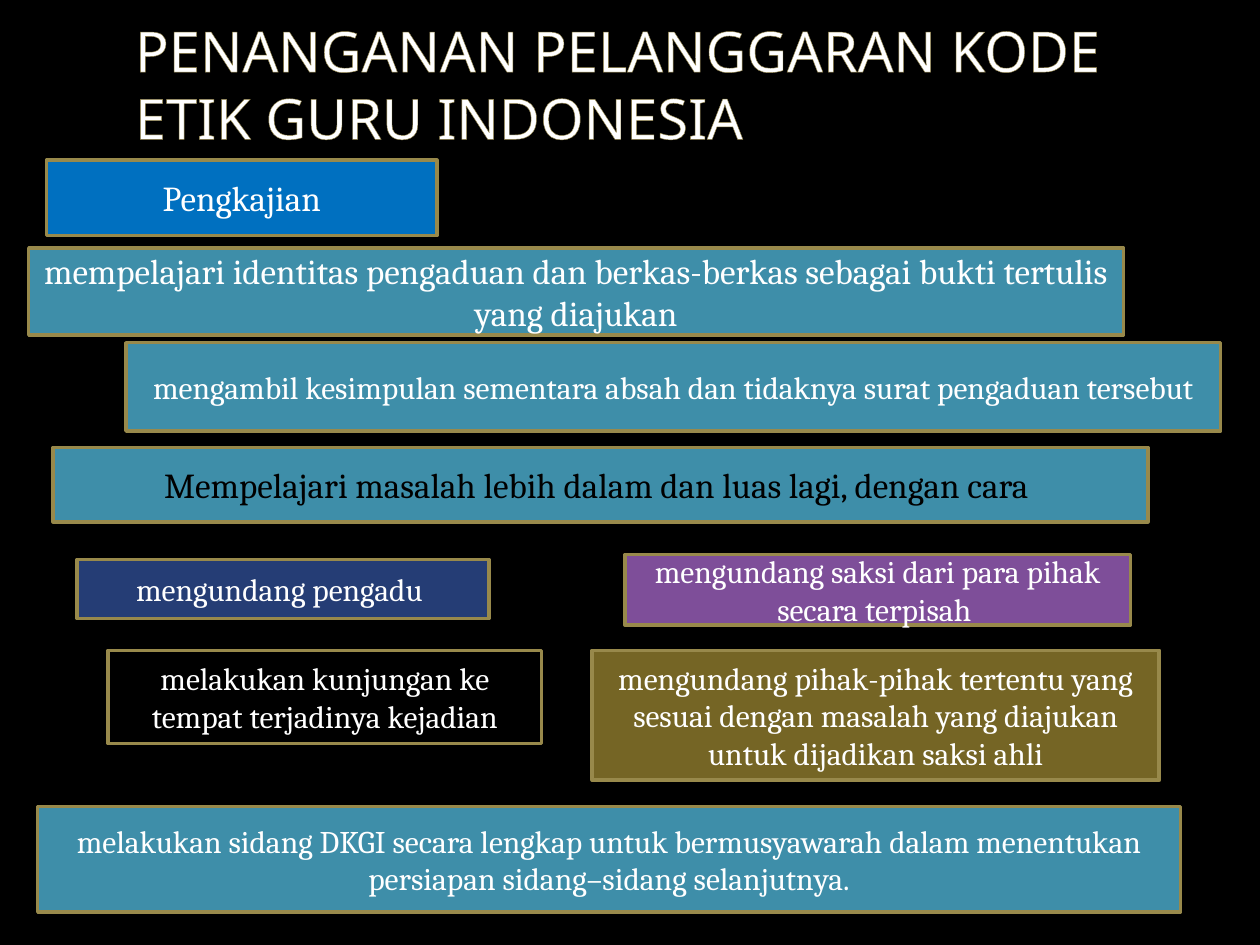
from dataclasses import dataclass

from lxml import etree
from pptx import Presentation
from pptx.dml.color import RGBColor
from pptx.enum.shapes import MSO_SHAPE
from pptx.enum.text import MSO_ANCHOR, PP_ALIGN
from pptx.oxml.ns import qn
from pptx.util import Cm, Pt

RECT = MSO_SHAPE.RECTANGLE
MIDDLE = MSO_ANCHOR.MIDDLE
CENTER = PP_ALIGN.CENTER

BLACK = RGBColor(0x00, 0x00, 0x00)
WHITE = RGBColor(0xFF, 0xFF, 0xFF)
BLUE = RGBColor(0x00, 0x70, 0xC0)
TEAL = RGBColor(0x3E, 0x8E, 0xA9)
NAVY = RGBColor(0x25, 0x3D, 0x75)
PURPLE = RGBColor(0x7E, 0x4E, 0x99)
OLIVE = RGBColor(0x75, 0x65, 0x25)
GOLD = RGBColor(0x98, 0x89, 0x4B)
TITLE_EDGE = RGBColor(0x8F, 0x80, 0x47)

TITLE = "PENANGANAN PELANGGARAN KODE ETIK GURU INDONESIA"
STEP_W = 22.07


@dataclass
class Box:
    """A bordered step; lengths are in centimetres."""
    text: str
    left: float
    top: float
    width: float
    height: float
    fill: RGBColor = TEAL
    size: int = 18
    color: RGBColor = WHITE


BOXES = [
    Box("Pengkajian", 0.94, 3.23, 7.87, 1.52, BLUE, 20),
    Box("mempelajari identitas pengaduan dan berkas-berkas sebagai bukti "
        "tertulis yang diajukan", 0.58, 5, STEP_W, 1.75, size=20),
    Box("mengambil kesimpulan sementara absah dan tidaknya surat pengaduan "
        "tersebut", 2.54, 6.91, STEP_W, 1.78),
    Box("Mempelajari masalah lebih dalam dan luas lagi, dengan cara ",
        1.07, 9.02, STEP_W, 1.5, size=20, color=BLACK),
    Box("melakukan sidang DKGI secara lengkap untuk bermusyawarah dalam "
        "menentukan persiapan sidang–sidang selanjutnya.",
        0.76, 16.26, 23.04, 2.13),
    Box("mengundang pengadu ", 1.55, 11.28, 8.31, 1.19, NAVY),
    Box("mengundang saksi dari para pihak secara terpisah ",
        12.6, 11.18, 10.19, 1.42, PURPLE),
    Box("melakukan kunjungan ke tempat terjadinya kejadian",
        2.18, 13.11, 8.74, 1.88, BLACK),
    Box("mengundang pihak-pihak tertentu yang sesuai dengan masalah yang "
        "diajukan untuk dijadikan saksi ahli",
        11.94, 13.11, 11.43, 2.62, OLIVE),
]


def set_text(sp, text: str, font: str, size: int, color: RGBColor):
    """Fill a shape with one formatted paragraph and return the paragraph."""
    tf = sp.text_frame
    tf.word_wrap = True
    tf.vertical_anchor = MIDDLE
    tf.text = text
    p = tf.paragraphs[0]
    r = p.runs[0]
    r.font.name = font
    r.font.size = Pt(size)
    r.font.color.rgb = color
    return p


def add_title(s) -> None:
    sp = s.shapes.add_textbox(Cm(1.12), Cm(0.18), Cm(22.89), Cm(3))
    p = set_text(sp, TITLE, "Noto Sans", 32, WHITE)
    pPr = p._p.get_or_add_pPr()
    pPr.set("marL", str(Cm(1.35)))
    pPr.set("indent", "0")
    ln = etree.Element(qn("a:ln"), w=str(Pt(0.5)))
    fill = etree.SubElement(ln, qn("a:solidFill"))
    etree.SubElement(fill, qn("a:srgbClr"), val=str(TITLE_EDGE))
    p.runs[0]._r.get_or_add_rPr().insert(0, ln)


def add_box(s, box: Box) -> None:
    sp = s.shapes.add_shape(RECT, Cm(box.left), Cm(box.top),
                            Cm(box.width), Cm(box.height))
    sp.shadow.inherit = False
    sp.fill.solid()
    sp.fill.fore_color.rgb = box.fill
    sp.line.color.rgb = GOLD
    sp.line.width = Pt(2)
    p = set_text(sp, box.text, "Cambria", box.size, box.color)
    p.alignment = CENTER


def main() -> None:
    prs = Presentation()
    prs.slide_width, prs.slide_height = Cm(25.4), Cm(19.05)
    s = prs.slides.add_slide(prs.slide_layouts[6])
    s.background.fill.solid()
    s.background.fill.fore_color.rgb = BLACK
    add_title(s)
    for box in BOXES:
        add_box(s, box)
    prs.save("out.pptx")


if __name__ == "__main__":
    main()
